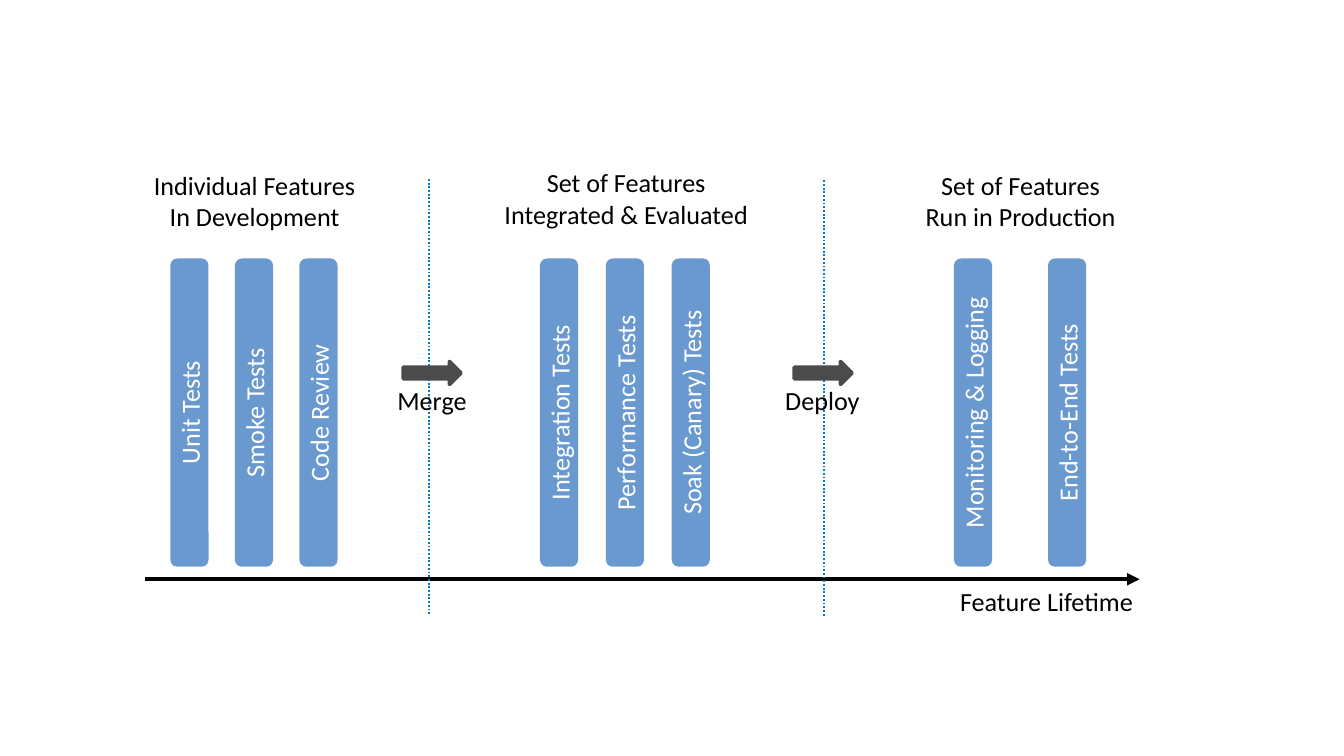
import pptx
import pptx.dml.color
import pptx.enum.dml
import pptx.enum.shapes
import pptx.enum.text
import pptx.oxml
import pptx.oxml.ns
import pptx.util

Inches = pptx.util.Inches
Pt = pptx.util.Pt
SHAPE = pptx.enum.shapes.MSO_SHAPE
ALIGN = pptx.enum.text.PP_ALIGN
SLIDE_WIDTH = 10
CENTER_Y = 3.07
BAR_LENGTH, BAR_WIDTH = 2.28, 0.27

STAGES = [
    (1.41, 0.48, ["Unit Tests", "Smoke Tests", "Code Review"]),
    (4.16, 0.49, ["Integration Tests", "Performance Tests", "Soak (Canary) Tests"]),
    (7.24, 0.7, ["Monitoring & Logging", "End-to-End Tests"]),
]
HEADINGS = [
    (1.03, 1.21, 1.73, ["Individual Features", "In Development"]),
    (3.63, 1.19, 2.06, ["Set of Features", "Integrated & Evaluated"]),
    (6.78, 1.21, 1.63, ["Set of Features", "Run in Production"]),
]
STEPS = [(3, 2.85, 0.73, "Merge"), (5.91, 5.74, 0.76, "Deploy")]


def rgb(value):
    return pptx.dml.color.RGBColor.from_string(value)


def apply(target, values):
    for name, value in values.items():
        setattr(target, name, value)


def add_xml(parent, tag, attrs=""):
    ns = pptx.oxml.ns.nsdecls("a")
    parent.append(pptx.oxml.parse_xml(f"<a:{tag} {ns} {attrs}/>"))


def write(tf, lines, color, align=ALIGN.CENTER):
    for i, line in enumerate(lines):
        p = tf.add_paragraph() if i else tf.paragraphs[0]
        p.alignment = align
        r = p.add_run()
        r.text = line
        apply(r.font, {"size": Pt(14), "name": "Calibri"})
        r.font.color.rgb = rgb(color)


def add_label(shapes, x, y, w, h, lines, align=ALIGN.CENTER):
    sp = shapes.add_textbox(Inches(x), Inches(y), Inches(w), Inches(h))
    apply(sp.text_frame, {
        "word_wrap": False,
        "auto_size": pptx.enum.text.MSO_AUTO_SIZE.SHAPE_TO_FIT_TEXT,
    })
    write(sp.text_frame, lines, "000000", align)


def add_block(shapes, kind, x, y, w, h, color, line_width):
    sp = shapes.add_shape(kind, Inches(x), Inches(y), Inches(w), Inches(h))
    sp.shadow.inherit = False
    sp.fill.solid()
    sp.fill.fore_color.rgb = rgb(color)
    sp.line.color.rgb = rgb(color)
    sp.line.width = Pt(line_width)
    return sp


def add_bar(shapes, center_x, text):
    sp = add_block(shapes, SHAPE.ROUNDED_RECTANGLE, center_x - BAR_LENGTH / 2,
                   CENTER_Y - BAR_WIDTH / 2, BAR_LENGTH, BAR_WIDTH, "6A99D0", 1)
    sp.rotation = 270
    inset = Inches(0.13)
    apply(sp.text_frame, {
        "margin_left": inset, "margin_right": inset,
        "margin_top": inset, "margin_bottom": inset,
        "word_wrap": True,
        "vertical_anchor": pptx.enum.text.MSO_ANCHOR.MIDDLE,
    })
    write(sp.text_frame, [text], "FFFFFF")


def add_line(shapes, x1, y1, x2, y2, color, width):
    sp = shapes.add_connector(pptx.enum.shapes.MSO_CONNECTOR.STRAIGHT,
                              Inches(x1), Inches(y1), Inches(x2), Inches(y2))
    sp.line.color.rgb = rgb(color)
    sp.line.width = Pt(width)
    add_xml(sp.element.spPr, "effectLst")
    return sp


def add_timeline(shapes):
    sp = add_line(shapes, 1.08, 4.31, 8.48, 4.31, "000000", 2.25)
    add_xml(sp.element.spPr.ln, "tailEnd", 'type="triangle"')
    add_label(shapes, 7.01, 4.31, 1.52, 0.34, ["Feature Lifetime"], ALIGN.RIGHT)


def add_divider(shapes, x, bottom, top):
    sp = add_line(shapes, x, bottom, x, top, "007AC8", 1)
    sp.line.dash_style = pptx.enum.dml.MSO_LINE.ROUND_DOT


def add_step(shapes, arrow_x, label_x, label_w, text):
    group = shapes.add_group_shape()
    add_block(group.shapes, SHAPE.RIGHT_ARROW, arrow_x, 2.69, 0.43, 0.17, "4B4B4B", 2)
    add_label(group.shapes, label_x, 2.81, label_w, 0.34, [text])


def main():
    prs = pptx.Presentation()
    apply(prs, {
        "slide_width": Inches(SLIDE_WIDTH),
        "slide_height": Inches(SLIDE_WIDTH * 9 / 16),
    })
    s = prs.slides.add_slide(prs.slide_layouts[6])
    add_timeline(s.shapes)
    add_divider(s.shapes, 3.19, 4.57, 1.33)
    add_divider(s.shapes, 6.13, 4.58, 1.34)
    for x, y, w, lines in HEADINGS:
        add_label(s.shapes, x, y, w, 0.57, lines)
    for first_x, gap, names in STAGES:
        for i, name in enumerate(names):
            add_bar(s.shapes, first_x + i * gap, name)
    for step in STEPS:
        add_step(s.shapes, *step)
    prs.save("out.pptx")


if __name__ == "__main__":
    main()
